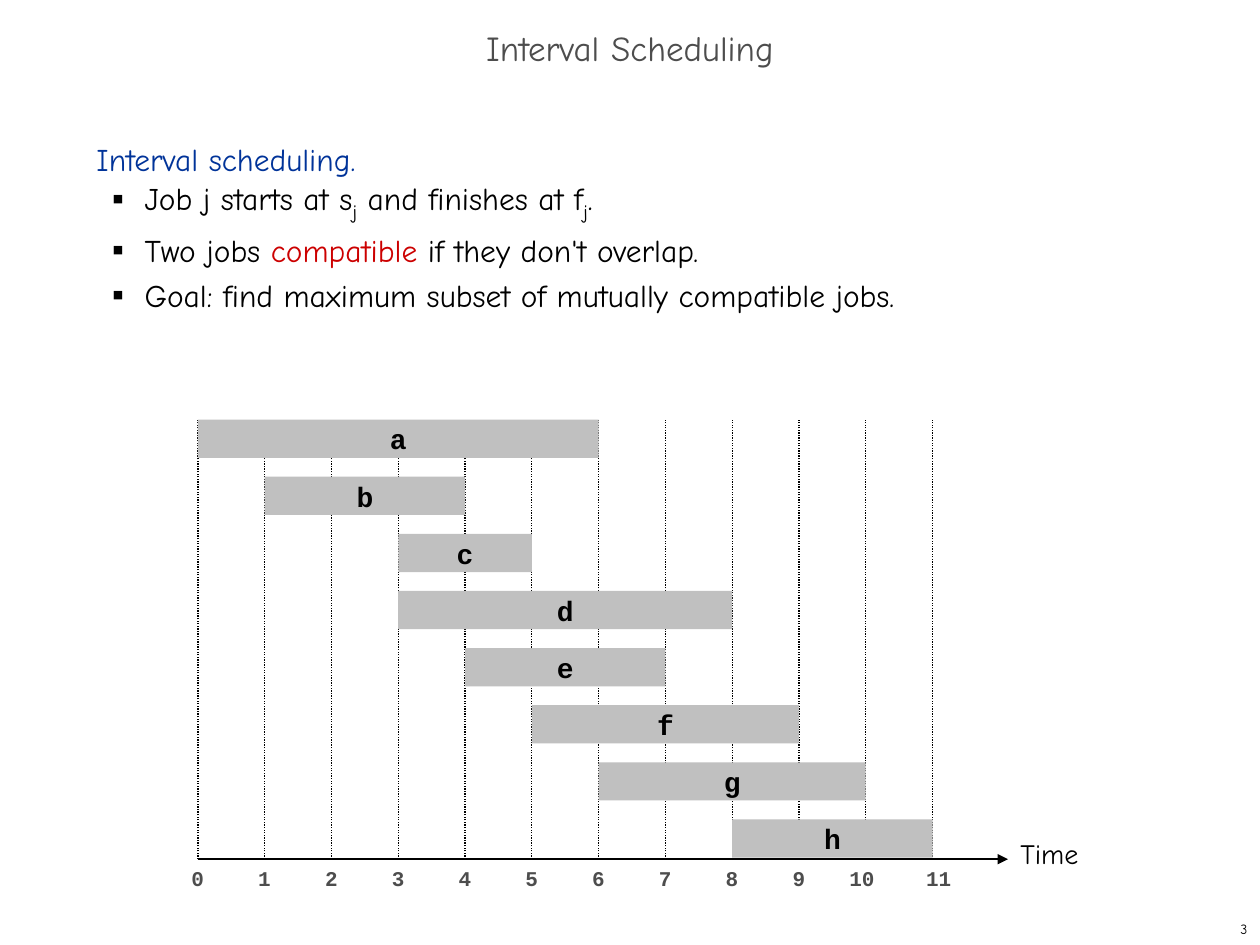
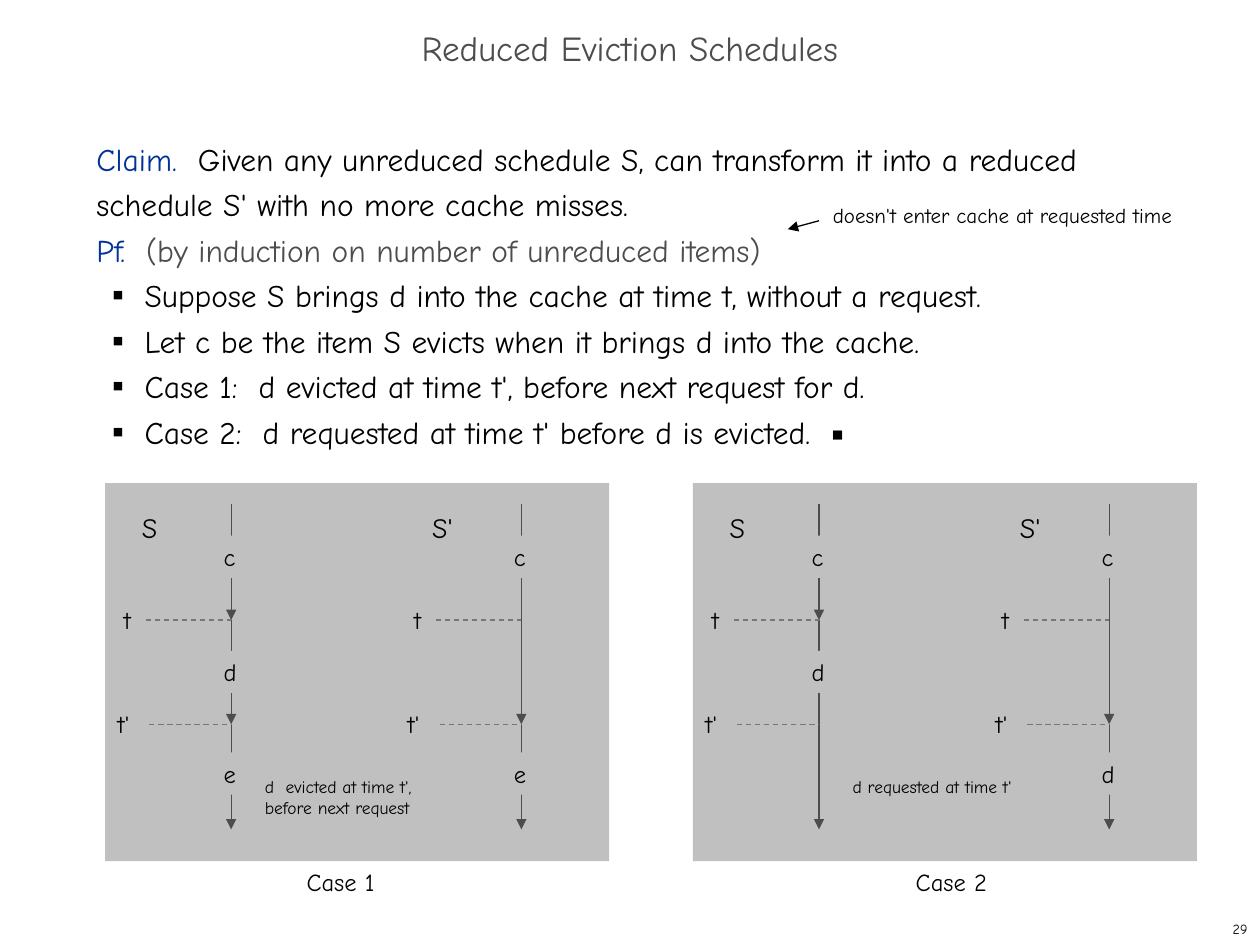
"""Builds two algorithm slides: interval scheduling and reduced eviction schedules."""
from lxml.etree import SubElement
from pptx import Presentation
from pptx.dml.color import RGBColor
from pptx.enum.dml import MSO_LINE as Dash
from pptx.enum.shapes import MSO_CONNECTOR, MSO_SHAPE
from pptx.enum.text import MSO_ANCHOR as Anchor, MSO_AUTO_SIZE, PP_ALIGN as Align
from pptx.oxml.ns import qn
from pptx.util import Cm, Pt

COLORS = {"ink": "000000", "gray": "4D4D4D", "guide": "777777",
          "panel": "C0C0C0", "blue": "003399", "red": "CC0000"}
HAND, MONO = "Comic Neue", "Courier New"


def rgb(color):
    return RGBColor.from_string(COLORS[color])


class Deck:
    """Holds the shared style and the slide being drawn."""

    def __init__(self):
        self.prs = Presentation()
        self.prs.slide_width, self.prs.slide_height = Cm(25.4), Cm(19.05)
        self.slide = None

    def start(self, title, number):
        self.slide = self.prs.slides.add_slide(self.prs.slide_layouts[1])
        heading = self.slide.shapes.title
        self.place(heading, 0, 0.43, 25.4, 1.27)
        heading.text_frame.auto_size = MSO_AUTO_SIZE.NONE
        self.set_text(heading, title, 20, "gray", align=Align.CENTER, anchor=Anchor.MIDDLE)
        heading.text_frame.paragraphs[0].line_spacing = 0.7
        self.label(number, 20.12, 18.42, 5.28, 0.63, 8, align=Align.RIGHT, anchor=Anchor.MIDDLE)

    def place(self, shape, x, y, w, h):
        shape.left, shape.top, shape.width, shape.height = Cm(x), Cm(y), Cm(w), Cm(h)

    def style(self, font, size, color, name=HAND, bold=False):
        font.name, font.size, font.bold = name, Pt(size), bold
        font.color.rgb = rgb(color)

    def set_text(self, shape, text, size, color="ink", name=HAND, bold=False,
                 align=Align.LEFT, anchor=Anchor.TOP, wrap=True):
        frame = shape.text_frame
        frame.word_wrap, frame.vertical_anchor = wrap, anchor
        line = frame.paragraphs[0]
        line.text, line.alignment = text, align
        self.style(line.font, size, color, name, bold)

    def label(self, text, x, y, w, h, size, wrap=False, **look):
        box = self.slide.shapes.add_textbox(Cm(x), Cm(y), Cm(w), Cm(h))
        self.set_text(box, text, size, wrap=wrap, **look)

    def block(self, x, y, w, h, text="", size=14, **look):
        box = self.slide.shapes.add_shape(MSO_SHAPE.RECTANGLE, Cm(x), Cm(y), Cm(w), Cm(h))
        box.shadow.inherit = False
        box.fill.solid()
        box.fill.fore_color.rgb = rgb("panel")
        box.line.fill.background()
        if text:
            box.text_frame.margin_top = box.text_frame.margin_bottom = 0
            self.set_text(box, text, size, anchor=Anchor.MIDDLE, wrap=False, **look)

    def line(self, x1, y1, x2, y2, color="ink", width=0.75, dash=None, arrow=False):
        link = self.slide.shapes.add_connector(
            MSO_CONNECTOR.STRAIGHT, Cm(x1), Cm(y1), Cm(x2), Cm(y2))
        link.line.color.rgb, link.line.width = rgb(color), Pt(width)
        if dash:
            link.line.dash_style = dash
        properties = link._element.spPr
        if arrow:
            SubElement(properties.find(qn("a:ln")), qn("a:tailEnd"), type="triangle")
        SubElement(properties, qn("a:effectLst"))

    def body(self, lines):
        outline = self.slide.placeholders[1]
        self.place(outline, 1.69, 2.54, 21.8, 15.03)
        frame = outline.text_frame
        frame.auto_size = MSO_AUTO_SIZE.NONE
        for index, (level, spans) in enumerate(lines):
            item = frame.add_paragraph() if index else frame.paragraphs[0]
            item.level, item.line_spacing, item.space_before = level, Pt(26), Pt(0)
            self.bullet(item, level)
            item.font.name, item.font.size = HAND, Pt(18)
            for text, color, *subscript in spans:
                run = item.add_run()
                run.text = text
                self.style(run.font, 20 if subscript else 18, color)
                if subscript:
                    run._r.get_or_add_rPr().set("baseline", "-25000")

    def bullet(self, item, level):
        props = item._p.get_or_add_pPr()
        props.set("marL", str(Cm(0.97) if level else 0))
        props.set("indent", str(Cm(-0.64) if level else 0))
        if not level:
            SubElement(props, qn("a:buNone"))
            return
        SubElement(SubElement(props, qn("a:buClr")), qn("a:srgbClr"), val=COLORS["ink"])
        SubElement(props, qn("a:buSzPct"), val="35000")
        SubElement(props, qn("a:buFont"), typeface=HAND)
        SubElement(props, qn("a:buChar"), char="■")


def interval_scheduling(deck):
    deck.start("Interval Scheduling", "3")
    deck.body([
        (0, [("Interval scheduling.", "blue")]),
        (1, [("Job j starts at s", "ink"), ("j", "ink", "sub"),
             (" and finishes at f", "ink"), ("j", "ink", "sub"), (".", "ink")]),
        (1, [("Two jobs ", "ink"), ("compatible ", "red"), ("if they don't overlap.", "ink")]),
        (1, [("Goal: find maximum subset of mutually compatible jobs.", "ink")]),
    ])
    origin, top, axis = 3.99, 8.46, 17.32
    hour, row = (18.8 - origin) / 11, (16.52 - top) / 7
    for time in range(12):
        x = origin + time * hour
        deck.line(x, axis, x, top, dash=Dash.ROUND_DOT)
        nudge = 0.58 if time == 10 else 0.38
        deck.label(str(time), x - nudge, axis, 1.14, 0.76, 12, wrap=True,
                   color="gray", name=MONO, bold=True)
    jobs = {"a": (0, 6), "b": (1, 4), "c": (3, 5), "d": (3, 8),
            "e": (4, 7), "f": (5, 9), "g": (6, 10), "h": (8, 11)}
    for index, (job, (begin, finish)) in enumerate(jobs.items()):
        deck.block(origin + begin * hour, top + index * row, (finish - begin) * hour, 0.77,
                   job, 16, name=MONO, bold=True, align=Align.CENTER)
    deck.line(origin, axis, 20.32, axis, width=1.25, arrow=True)
    deck.label("Time", 20.32, 16.74, 2.11, 0.94, 16, wrap=True)


def eviction_timeline(deck, x, name, stops, items):
    start, t, t_prime = 10.16, 12.5, 14.6
    for begin, end in zip([start] + stops, stops):
        deck.line(x, begin, x, end, "gray", arrow=True)
    for mark, y, label_gap, guide_gap in (("t", t, 2.41, 1.72), ("t'", t_prime, 2.54, 1.65)):
        deck.label(mark, x - label_gap, y - 0.43, 0.85, 0.85, 14, anchor=Anchor.MIDDLE)
        deck.line(x - guide_gap, y, x, y, "guide", dash=Dash.DASH)
    for item, y in items:
        deck.block(x - 0.4, y, 0.85, 0.85, item)
    deck.label(name, x - 2.05, start, 1, 0.94, 16)


def reduced_eviction_schedules(deck):
    deck.start("Reduced Eviction Schedules", "29")
    deck.body([
        (0, [("Claim.  ", "blue"),
             ("Given any unreduced schedule S, can transform it into a reduced "
              "schedule S' with no more cache misses.", "ink")]),
        (0, [("Pf.  ", "blue"), ("(by induction on number of unreduced items)", "gray")]),
        (1, [("Suppose S brings d into the cache at time t, without a request.", "ink")]),
        (1, [("Let c be the item S evicts when it brings d into the cache.", "ink")]),
        (1, [("Case 1:  d evicted at time t', before next request for d.", "ink")]),
        (1, [("Case 2:  d requested at time t' before d is evicted.  ▪", "ink")]),
    ])
    deck.label("doesn't enter cache at requested time", 16.54, 3.96, 8.05, 1.27, 12, wrap=True)
    deck.line(16.51, 4.45, 15.88, 4.62, arrow=True)
    t, t_prime, end = 12.5, 14.6, 16.72
    first, second, third = 10.8, 13.12, 15.17
    cases = [
        ("Case 1", 2.12, 5.93, "d  evicted at time t',\nbefore next request",
         [t, t_prime, end], [("c", first), ("d", second), ("e", third)], "e"),
        ("Case 2", 13.97, 18.21, "d requested at time t'",
         [t, end], [("c", first), ("d", second)], "d"),
    ]
    for case, left, caption_left, note, stops, items, last in cases:
        deck.block(left, 9.74, 10.16, 7.62)
        eviction_timeline(deck, left + 2.54, "S", stops, items)
        eviction_timeline(deck, left + 8.39, "S'", [t_prime, end],
                          [("c", first), (last, third)])
        deck.label(note, left + 2.97, 15.52, 4.1, 0.7, 10)
        deck.label(case, caption_left, 17.36, 2, 0.85, 14)


def main():
    deck = Deck()
    interval_scheduling(deck)
    reduced_eviction_schedules(deck)
    deck.prs.save("out.pptx")


if __name__ == "__main__":
    main()
